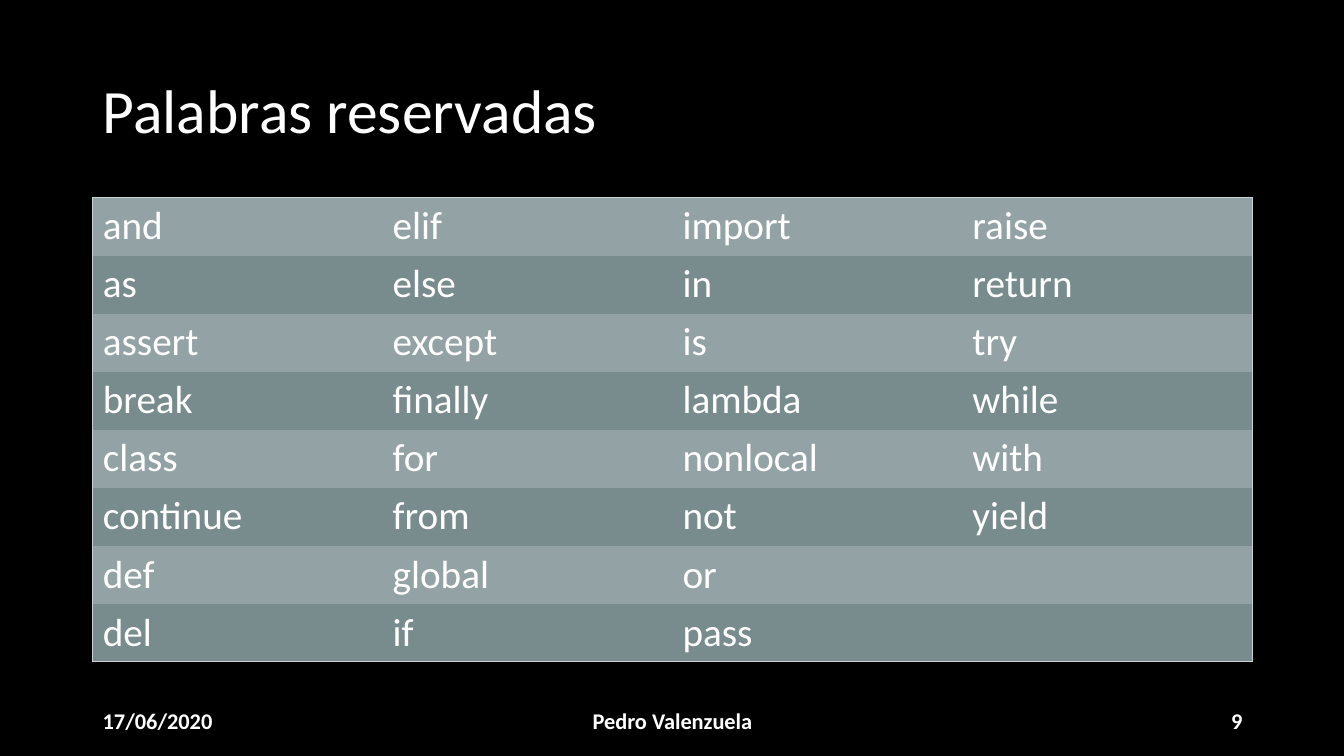
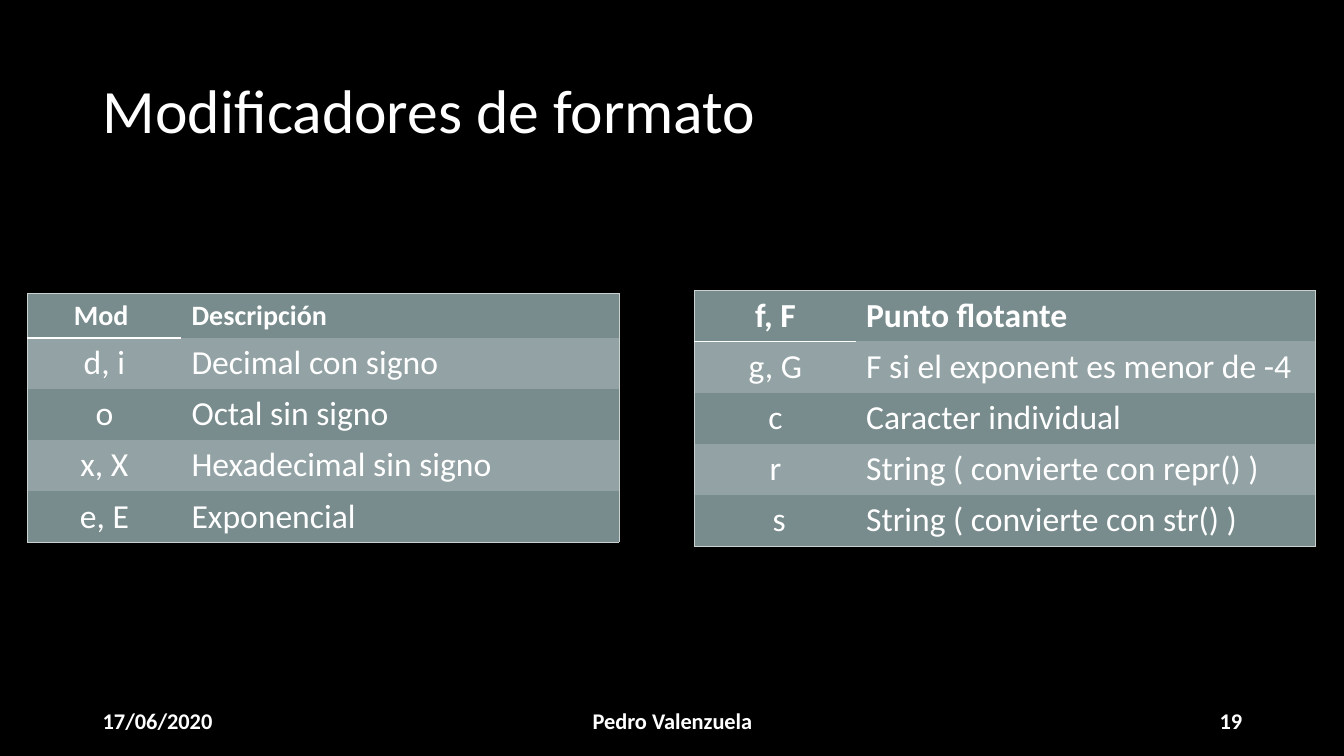
from lxml import etree
from pptx import Presentation
from pptx.dml.color import RGBColor
from pptx.enum.text import MSO_ANCHOR as Anchor, MSO_AUTO_SIZE as AutoSize, PP_ALIGN as Align
from pptx.oxml.ns import qn
from pptx.util import Inches, Pt

COLORS = {
    "background": "000000",
    "text": "FFFFFF",
    "row": "788B8D",
    "band": "93A2A4",
    "frame": "CBD0D1",
}
FONT = "Calibri"
NO_STYLE = "{2D5ABB26-0587-4C30-8999-92F81FD0307C}"
MARGIN = 0.92
CONTENT_WIDTH = 11.5
TITLE_OPACITY = 16
FOOTER_OPACITY = 34


def add_text(frame, text, size, bold=False, align=Align.LEFT):
    paragraph = frame.paragraphs[0]
    paragraph.alignment = align
    run = paragraph.add_run()
    run.text = text
    run.font.name = FONT
    run.font.size = Pt(size)
    run.font.bold = bold
    run.font.color.rgb = RGBColor.from_string(COLORS["text"])
    return paragraph


def add_table(slide, left, top, widths, heights, rows, sizes, has_header):
    last_row, last_column = len(rows) - 1, len(widths) - 1
    table = slide.shapes.add_table(
        len(rows), len(widths), Inches(left), Inches(top),
        Inches(sum(widths)), Inches(sum(heights))).table
    table.first_row = has_header
    table.horz_banding = False
    table._tbl.tblPr.find(qn("a:tableStyleId")).text = NO_STYLE
    for column, width in zip(table.columns, widths):
        column.width = Inches(width)

    for r, texts in enumerate(rows):
        table.rows[r].height = Inches(heights[r])
        is_header = has_header and r == 0
        for c, text in enumerate(texts):
            cell = table.cell(r, c)
            if text:
                centered = has_header and c == 0
                add_text(cell.text_frame, text, sizes[r], is_header,
                         Align.CENTER if centered else Align.LEFT)

            # Outer frame, and the rule under the first header cell
            borders = {
                "lnL": ("frame", 0.5) if c == 0 else None,
                "lnR": ("frame", 0.5) if c == last_column else None,
                "lnT": ("frame", 0.5) if r == 0 else None,
                "lnB": ("frame", 0.5) if r == last_row else None,
            }
            if is_header and c == 0:
                borders["lnB"] = ("text", 1.5)
            properties = cell._tc.get_or_add_tcPr()
            for tag, border in borders.items():
                if border:
                    color, width = border
                    line = etree.SubElement(properties, qn(f"a:{tag}"), w=str(Pt(width)))
                    fill = etree.SubElement(line, qn("a:solidFill"))
                    etree.SubElement(fill, qn("a:srgbClr"), val=COLORS[color])

            # Alternating rows; a header shifts the bands by one
            banded = r % 2 == int(has_header)
            cell.fill.solid()
            cell.fill.fore_color.rgb = RGBColor.from_string(COLORS["band" if banded else "row"])


presentation = Presentation()
presentation.slide_width = Inches(13.33)
presentation.slide_height = Inches(7.5)
background = presentation.slide_master.background.fill
background.solid()
background.fore_color.rgb = RGBColor.from_string(COLORS["background"])

# Content: title, slide number, tables (left, top, widths, heights, rows, sizes, header)
keywords = [
    ["and", "elif", "import", "raise"],
    ["as", "else", "in", "return"],
    ["assert", "except", "is", "try"],
    ["break", "finally", "lambda", "while"],
    ["class", "for", "nonlocal", "with"],
    ["continue", "from", "not", "yield"],
    ["def", "global", "or", ""],
    ["del", "if", "pass", ""],
]
number_modifiers = [
    ["Mod ", "Descripción"],
    ["d, i", "Decimal con signo"],
    ["o", "Octal sin signo"],
    ["x, X", "Hexadecimal sin signo"],
    ["e, E", "Exponencial"],
]
other_modifiers = [
    ["f, F", "Punto flotante"],
    ["g, G", "F si el exponent es menor de -4"],
    ["c", "Caracter individual"],
    ["r", "String ( convierte con repr() )"],
    [" s", "String ( convierte con str() )"],
]
slides = [
    ("Palabras reservadas", "9", [
        (MARGIN, 1.96, [CONTENT_WIDTH / 4] * 4, [0.57] * 8, keywords, [28] * 8, False),
    ]),
    ("Modificadores de formato", "19", [
        (0.27, 2.91, [1.53, 4.34], [0.43] + [0.5] * 4, number_modifiers, [20] + [24] * 4, True),
        (6.89, 2.88, [1.6, 4.56], [0.5] * 5, other_modifiers, [24] * 5, True),
    ]),
]

for title_text, number, tables in slides:
    slide = presentation.slides.add_slide(presentation.slide_layouts[5])

    # Title
    title = slide.shapes.title
    title.left, title.top = Inches(MARGIN), Inches(0.4)
    title.width, title.height = Inches(CONTENT_WIDTH), Inches(1.45)
    title.text_frame.auto_size = AutoSize.NONE
    title.text_frame.vertical_anchor = Anchor.MIDDLE
    add_text(title.text_frame, title_text, 44).line_spacing = 0.9
    panels = [(title, TITLE_OPACITY)]

    # Tables
    for table in tables:
        add_table(slide, *table)

    # Footer: date, author, slide number
    for left, width, text, align in [
        (MARGIN, 3, "17/06/2020", Align.LEFT),
        (4.42, 4.5, "Pedro Valenzuela", Align.CENTER),
        (9.42, 3, number, Align.RIGHT),
    ]:
        footer = slide.shapes.add_textbox(Inches(left), Inches(6.95), Inches(width), Inches(0.4))
        footer.text_frame.word_wrap = True
        footer.text_frame.vertical_anchor = Anchor.MIDDLE
        add_text(footer.text_frame, text, 16, True, align)
        panels.append((footer, FOOTER_OPACITY))

    # Translucent panels behind the title and footer
    for shape, opacity in panels:
        shape.fill.solid()
        shape.fill.fore_color.rgb = RGBColor.from_string(COLORS["background"])
        color = shape._element.spPr.find(qn("a:solidFill")).find(qn("a:srgbClr"))
        etree.SubElement(color, qn("a:alpha"), val=str(opacity * 1000))

presentation.save("out.pptx")
